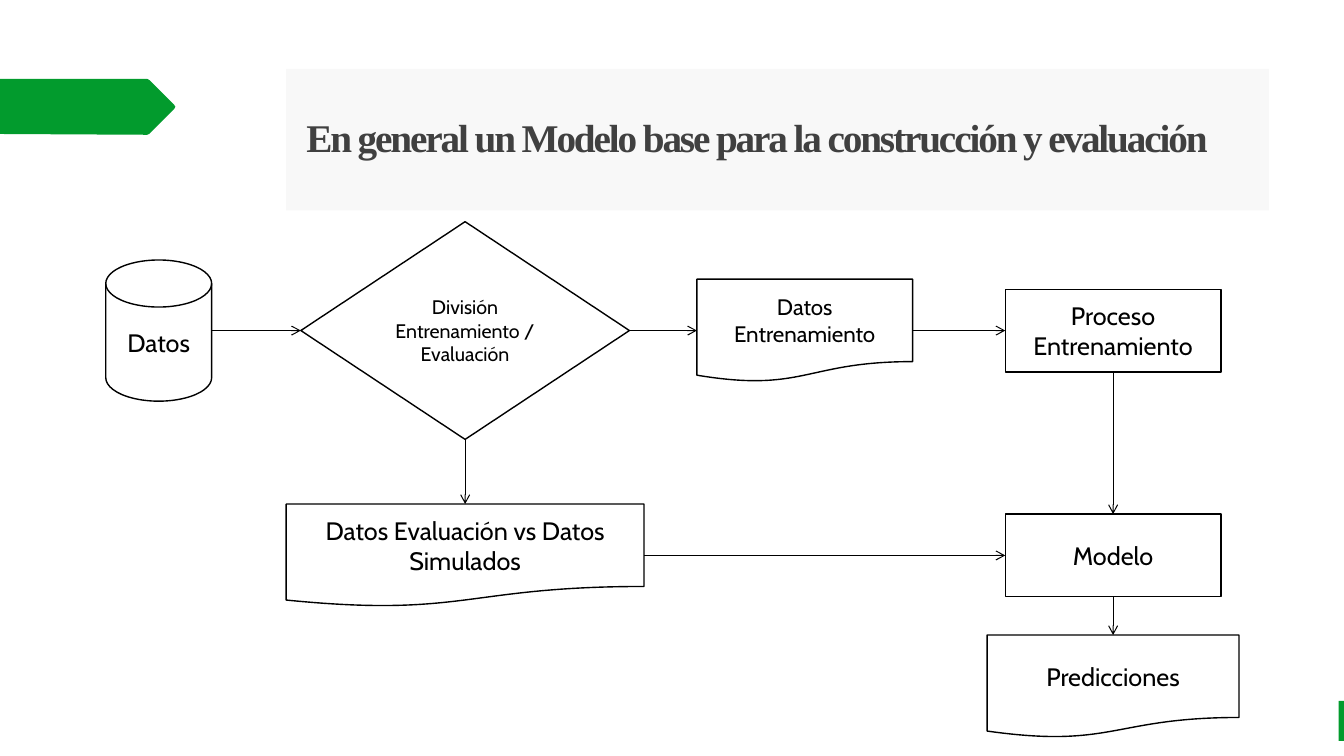
from dataclasses import dataclass

from lxml.etree import SubElement
from pptx import Presentation
from pptx.dml.color import RGBColor
from pptx.enum.shapes import MSO_CONNECTOR, MSO_SHAPE
from pptx.enum.text import MSO_ANCHOR, PP_ALIGN
from pptx.oxml.ns import qn
from pptx.shapes.autoshape import Shape
from pptx.util import Inches, Pt

SLIDE_WIDTH, SLIDE_HEIGHT = Inches(13.33), Inches(7.5)
GREEN, BLACK, WHITE = "029B2D", "000000", "FFFFFF"

# Grid of the flow, in percent of the slide: column and row centres, box sizes
DATA_COL, SPLIT_COL, TRAINING_COL, MODEL_COL = 11.81, 34.61, 59.88, 82.82
TRAINING_ROW, MODEL_ROW, OUTPUT_ROW = 43.73, 73.47, 90.8
BOX_WIDTH, PROCESS_HEIGHT, DOCUMENT_HEIGHT = 16.05, 10.93, 13.6


@dataclass(frozen=True)
class Step:
    """A box of the flow, centred on a column and a row."""
    label: str
    kind: MSO_SHAPE
    column: float
    row: float
    width: float
    height: float
    size: int = 18


@dataclass(frozen=True)
class Flow:
    """An arrow from one step to the next, running right or down."""
    source: Step
    target: Step
    down: bool = False


DATA = Step("Datos", MSO_SHAPE.FLOWCHART_MAGNETIC_DISK,
            DATA_COL, TRAINING_ROW, 7.88, 18.67)
SPLIT = Step("División Entrenamiento / Evaluación", MSO_SHAPE.FLOWCHART_DECISION,
             SPLIT_COL, TRAINING_ROW, 24.45, 28.8, 14)
TRAINING_DATA = Step("Datos Entrenamiento", MSO_SHAPE.FLOWCHART_DOCUMENT,
                     TRAINING_COL, TRAINING_ROW, BOX_WIDTH, DOCUMENT_HEIGHT, 16)
TEST_DATA = Step("Datos Evaluación vs Datos Simulados", MSO_SHAPE.FLOWCHART_DOCUMENT,
                 SPLIT_COL, MODEL_ROW, 26.63, DOCUMENT_HEIGHT)
TRAINING = Step("Proceso Entrenamiento", MSO_SHAPE.RECTANGLE,
                MODEL_COL, TRAINING_ROW, BOX_WIDTH, PROCESS_HEIGHT)
MODEL = Step("Modelo", MSO_SHAPE.RECTANGLE,
             MODEL_COL, MODEL_ROW, BOX_WIDTH, PROCESS_HEIGHT)
PREDICTIONS = Step("Predicciones", MSO_SHAPE.FLOWCHART_DOCUMENT,
                   MODEL_COL, OUTPUT_ROW, 18.75, DOCUMENT_HEIGHT)

STEPS = (DATA, SPLIT, TRAINING_DATA, TEST_DATA, TRAINING, MODEL, PREDICTIONS)
FLOWS = (
    Flow(DATA, SPLIT),
    Flow(SPLIT, TRAINING_DATA),
    Flow(TRAINING_DATA, TRAINING),
    Flow(TEST_DATA, MODEL),
    Flow(SPLIT, TEST_DATA, down=True),
    Flow(TRAINING, MODEL, down=True),
    Flow(MODEL, PREDICTIONS, down=True),
)
TAG_OUTLINE = (
    (0, 10.43), (10.95, 10.43), (11.1, 10.57), (12.97, 13.87), (13.05, 14.13),
    (12.97, 14.4), (11.1, 17.73), (10.95, 17.83), (0, 17.73),
)


def color(code: str) -> RGBColor:
    return RGBColor.from_string(code)


def x(percent: float) -> int:
    return round(SLIDE_WIDTH * percent / 100)


def y(percent: float) -> int:
    return round(SLIDE_HEIGHT * percent / 100)


def paint(shape: Shape, fill: str, outline: str | None = None) -> None:
    shape.shadow.inherit = False
    shape.fill.solid()
    shape.fill.fore_color.rgb = color(fill)
    if outline:
        shape.line.color.rgb = color(outline)
        shape.line.width = Pt(1)
    else:
        shape.line.fill.background()


def write(shape: Shape, text: str, font_name: str, size: int, ink: str,
          align: PP_ALIGN, bold: bool = False) -> None:
    frame = shape.text_frame
    frame.word_wrap = True
    frame.vertical_anchor = MSO_ANCHOR.MIDDLE
    paragraph = frame.paragraphs[0]
    paragraph.text = text
    paragraph.alignment = align
    font = paragraph.font
    font.name, font.size, font.bold = font_name, Pt(size), bold
    font.color.rgb = color(ink)


def add_block(shapes, kind: MSO_SHAPE, left: float, top: float,
              width: float, height: float) -> Shape:
    return shapes.add_shape(kind, x(left), y(top), x(width), y(height))


def add_tag(shapes) -> None:
    outline = [(x(across), y(down)) for across, down in TAG_OUTLINE]
    builder = shapes.build_freeform(*outline[0])
    builder.add_line_segments(outline[1:])
    paint(builder.convert_to_shape(), GREEN)


def add_title(shapes) -> None:
    title = add_block(shapes, MSO_SHAPE.RECTANGLE, 21.3, 9.13, 73.11, 18.7)
    paint(title, "F2F2F2")
    fill_color = title.fill._xPr.find(qn("a:solidFill"))[0]
    SubElement(fill_color, qn("a:alpha"), val="50000")
    write(title, "En general un Modelo base para la construcción y evaluación",
          "Times New Roman", 28, "404040", PP_ALIGN.LEFT, bold=True)
    frame = title.text_frame
    frame.margin_left = x(1.5)
    frame.margin_top = frame.margin_right = frame.margin_bottom = 0
    paragraph = frame.paragraphs[0]
    paragraph.line_spacing = 0.9
    paragraph.runs[0]._r.get_or_add_rPr().set("spc", "-150")


def add_step(shapes, step: Step) -> None:
    box = add_block(shapes, step.kind, step.column - step.width / 2,
                    step.row - step.height / 2, step.width, step.height)
    paint(box, WHITE, BLACK)
    write(box, step.label, "Cabin", step.size, BLACK, PP_ALIGN.CENTER)


def add_flow(shapes, flow: Flow) -> None:
    source, target = flow.source, flow.target
    if flow.down:
        start = source.column, source.row + source.height / 2
        end = target.column, target.row - target.height / 2
    else:
        start = source.column + source.width / 2, source.row
        end = target.column - target.width / 2, target.row
    arrow = shapes.add_connector(MSO_CONNECTOR.STRAIGHT, x(start[0]), y(start[1]),
                                 x(end[0]), y(end[1]))
    arrow.line.color.rgb = color(BLACK)
    arrow.line.width = Pt(0.75)
    SubElement(arrow.line._get_or_add_ln(), qn("a:tailEnd"), type="arrow")
    SubElement(arrow._element.spPr, qn("a:effectLst"))


def main() -> None:
    deck = Presentation()
    deck.slide_width, deck.slide_height = SLIDE_WIDTH, SLIDE_HEIGHT
    shapes = deck.slides.add_slide(deck.slide_layouts[6]).shapes
    paint(add_block(shapes, MSO_SHAPE.RECTANGLE, 99.6, 92.7, 0.4, 5.3), GREEN)
    add_tag(shapes)
    add_title(shapes)
    for step in STEPS:
        add_step(shapes, step)
    for flow in FLOWS:
        add_flow(shapes, flow)
    deck.save("out.pptx")


if __name__ == "__main__":
    main()
